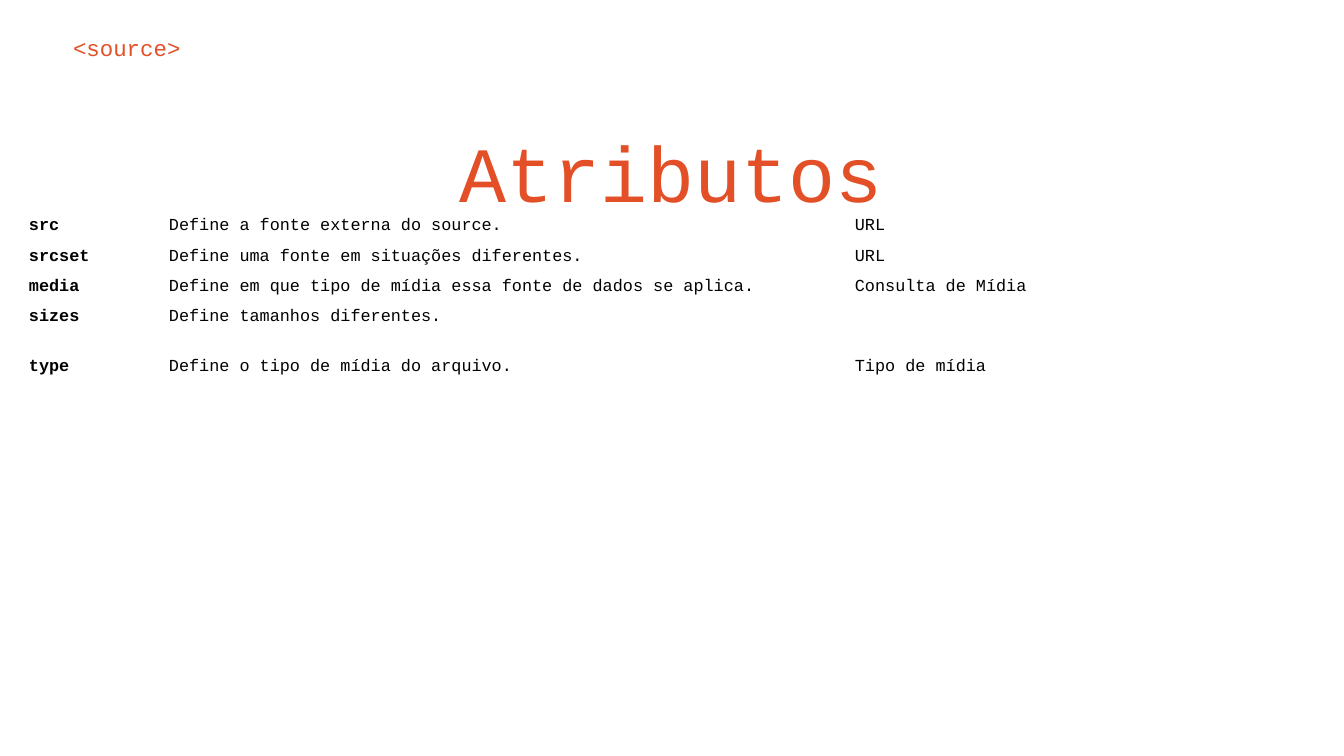
from dataclasses import dataclass

from pptx import Presentation
from pptx.dml.color import RGBColor
from pptx.enum.text import MSO_ANCHOR, PP_ALIGN
from pptx.util import Pt

EMU_PER_PX = 914400 / 134.4
FONT_NAME = "Courier New"
COLORS = {"accent": "E34F26", "text": "000000"}


@dataclass
class Heading:
    text: str
    left: int
    top: int
    width: int
    height: int
    size: int
    alignment: PP_ALIGN


@dataclass
class Attribute:
    name: str
    description: str
    value: str
    height: int = 30


HEADINGS = [
    Heading("<source>", 60, 17, 1234, 56, 12, PP_ALIGN.LEFT),
    Heading("Atributos", 95, 97, 1152, 116, 42, PP_ALIGN.CENTER),
]
ATTRIBUTES = [
    Attribute("src", "Define a fonte externa do source.", "URL"),
    Attribute("srcset", "Define uma fonte em situações diferentes.", "URL"),
    Attribute("media", "Define em que tipo de mídia essa fonte de dados se aplica.", "Consulta de Mídia"),
    Attribute("sizes", "Define tamanhos diferentes.", "", 48),
    Attribute("type", "Define o tipo de mídia do arquivo.", "Tipo de mídia"),
]
COLUMN_WIDTHS = [140, 686, 453]
TABLE_LEFT, TABLE_TOP = 24, 212


def px(length: int) -> int:
    """Turn pixels into EMU."""
    return round(length * EMU_PER_PX)


def set_values(target, values: dict) -> None:
    """Set each named attribute on the target."""
    for name, value in values.items():
        setattr(target, name, value)


def set_margins(target, margin: int) -> None:
    """Give a text frame or cell equal margins."""
    sides = ("left", "top", "right", "bottom")
    set_values(target, {f"margin_{side}": px(margin) for side in sides})


def write_text(paragraph, text: str, size: int, color: str, bold: bool = False) -> None:
    """Add one formatted run to a paragraph."""
    run = paragraph.add_run()
    run.text = text
    set_values(run.font, {"name": FONT_NAME, "size": Pt(size), "bold": bold})
    run.font.color.rgb = RGBColor.from_string(COLORS[color])


def draw_heading(slide, heading: Heading) -> None:
    """Draw a heading as a text box."""
    box = slide.shapes.add_textbox(
        px(heading.left), px(heading.top), px(heading.width), px(heading.height)
    )
    frame = box.text_frame
    set_values(frame, {"word_wrap": True, "vertical_anchor": MSO_ANCHOR.TOP})
    set_margins(frame, 13)
    paragraph = frame.paragraphs[0]
    set_values(paragraph, {"alignment": heading.alignment, "line_spacing": 1.15})
    write_text(paragraph, heading.text, heading.size, "accent")


def draw_attributes(slide, attributes: list[Attribute]) -> None:
    """Draw the attributes as a plain table."""
    table = slide.shapes.add_table(
        len(attributes), len(COLUMN_WIDTHS), px(TABLE_LEFT), px(TABLE_TOP),
        px(sum(COLUMN_WIDTHS)), px(sum(attribute.height for attribute in attributes)),
    ).table
    set_values(table, {"first_row": False, "horz_banding": False})
    for column, width in zip(table.columns, COLUMN_WIDTHS):
        column.width = px(width)
    for row, attribute in zip(table.rows, attributes):
        row.height = px(attribute.height)
        texts = (attribute.name, attribute.description, attribute.value)
        for index, (cell, text) in enumerate(zip(row.cells, texts)):
            cell.fill.background()
            set_margins(cell, 5)
            write_text(cell.text_frame.paragraphs[0], text, 9, "text", bold=index == 0)


def main() -> None:
    """Build and save the slide."""
    presentation = Presentation()
    set_values(presentation, {"slide_width": px(1344), "slide_height": px(756)})
    slide = presentation.slides.add_slide(presentation.slide_layouts[6])
    for heading in HEADINGS:
        draw_heading(slide, heading)
    draw_attributes(slide, ATTRIBUTES)
    presentation.save("out.pptx")


if __name__ == "__main__":
    main()
